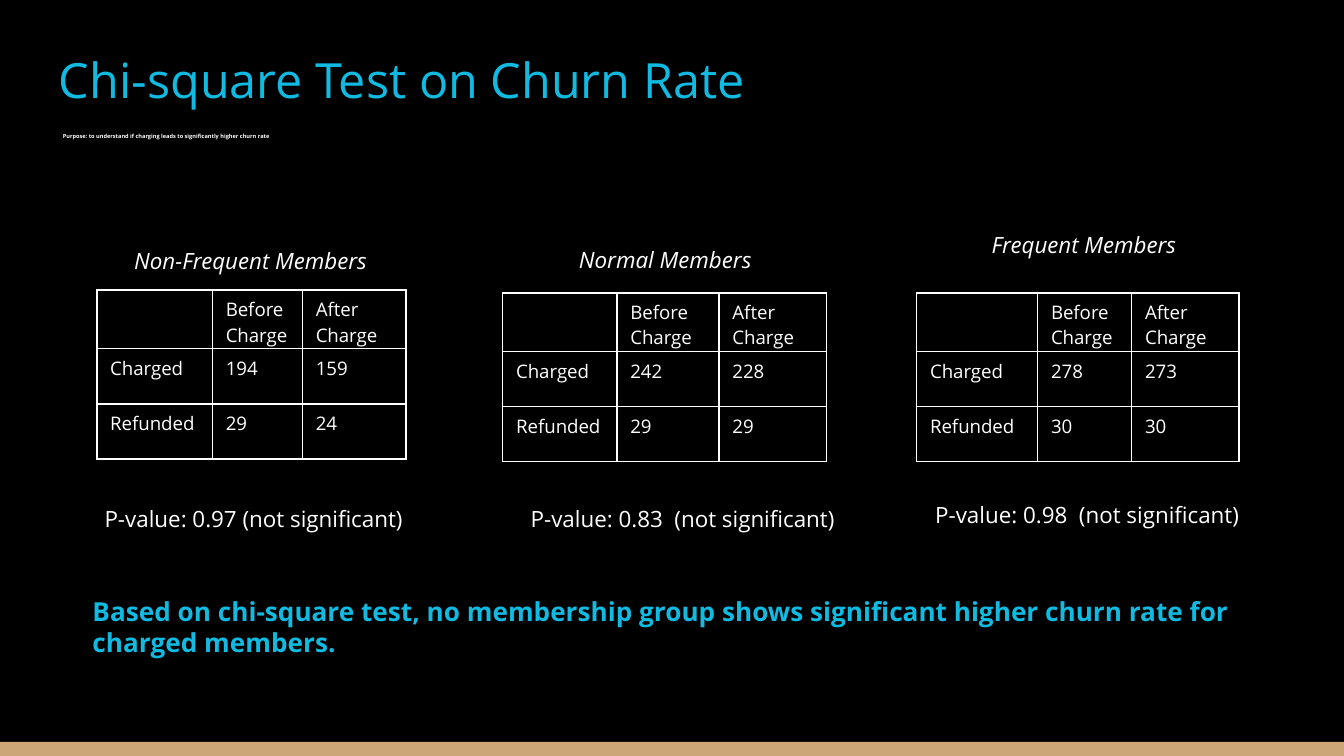
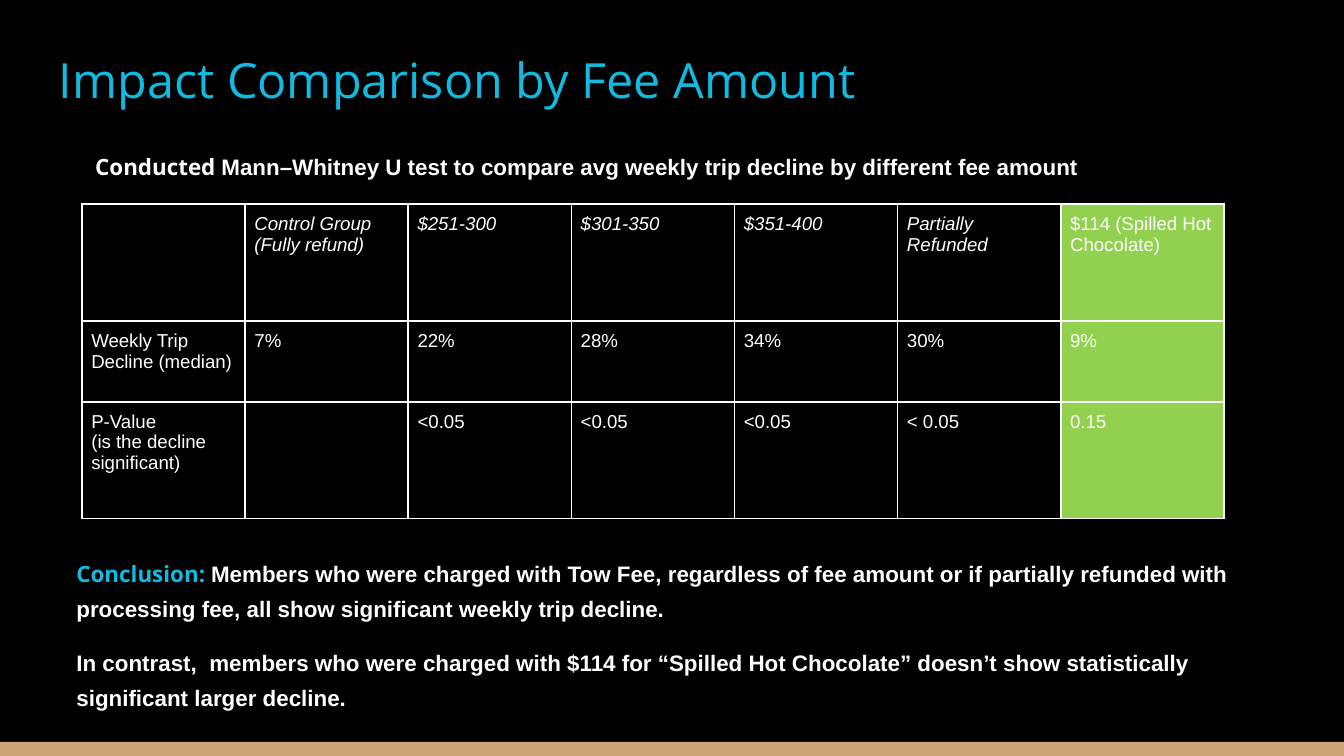
from typing import NamedTuple

from lxml import etree
from pptx import Presentation
from pptx.dml.color import RGBColor
from pptx.enum.shapes import MSO_SHAPE
from pptx.enum.text import MSO_ANCHOR, MSO_AUTO_SIZE
from pptx.oxml.ns import qn
from pptx.util import Inches, Pt

RECTANGLE = MSO_SHAPE.RECTANGLE
TOP = MSO_ANCHOR.TOP
GROW = MSO_AUTO_SIZE.SHAPE_TO_FIT_TEXT

COLUMNS, ROWS = 100, 56.25
CELL = 0.1
COLORS = {
    "background": "000000",
    "text": "FFFFFF",
    "accent": "11BAE0",
    "band": "CCA677",
    "highlight": "92D050",
}
SANS, ARIAL = "Open Sans", "Arial"


class Box(NamedTuple):
    left: float
    top: float
    width: float
    height: float

    def inner(self, left, top, width, height):
        return Box(self.left + left, self.top + top, width, height)

    def lengths(self):
        return [grid(value) for value in self]


PAGE_BOX = Box(0, 0, COLUMNS, ROWS)


def grid(count):
    return Inches(count * CELL)


def color(name):
    return RGBColor.from_string(COLORS[name])


def write(para, text, size=12, font=SANS, ink="text", bold=False, italic=False):
    span = para.add_run()
    span.text = text
    span.font.size = Pt(size)
    span.font.name = font
    span.font.color.rgb = color(ink)
    span.font.bold = bold
    span.font.italic = italic


def add_text(page, box, paragraphs, inset=0.5, spacing=None, gap=0, grow=True, **style):
    shape = page.shapes.add_textbox(*box.lengths())
    frame = shape.text_frame
    frame.word_wrap = True
    frame.vertical_anchor = TOP
    frame.margin_top = frame.margin_bottom = grid(inset)
    if grow:
        frame.auto_size = GROW
    for number, spans in enumerate(paragraphs):
        para = frame.add_paragraph() if number else frame.paragraphs[0]
        if spacing:
            para.line_spacing = spacing
        if number and gap:
            para.space_before = Pt(gap)
        for text, changes in spans:
            write(para, text, **{**style, **changes})


def add_line(page, box, text, **style):
    add_text(page, box, [[(text, {})]], **style)


def add_borders(cell):
    properties = cell._tc.get_or_add_tcPr()
    for position, side in enumerate(("lnL", "lnR", "lnT", "lnB")):
        line = etree.Element(qn("a:" + side), w=str(Pt(1)))
        fill = etree.SubElement(line, qn("a:solidFill"))
        etree.SubElement(fill, qn("a:srgbClr"), val=COLORS["text"])
        properties.insert(position, line)


def add_table(page, box, widths, heights, values, margins, highlighted=None,
              italic_header=False, **style):
    table = page.shapes.add_table(len(heights), len(widths), *box.lengths()).table
    table.first_row = table.horz_banding = False
    for column, width in zip(table.columns, widths):
        column.width = grid(width)
    for row, height in zip(table.rows, heights):
        row.height = grid(height)
    for row_number, row in enumerate(values):
        for column_number, text in enumerate(row):
            cell = table.cell(row_number, column_number)
            marked = column_number == highlighted
            cell.margin_left = cell.margin_right = grid(margins[0])
            cell.margin_top = cell.margin_bottom = grid(margins[1])
            cell.fill.solid()
            cell.fill.fore_color.rgb = color("highlight" if marked else "background")
            add_borders(cell)
            italic = italic_header and row_number == 0 and not marked
            for number, part in enumerate(text.split("\n") if text else []):
                frame = cell.text_frame
                para = frame.add_paragraph() if number else frame.paragraphs[0]
                write(para, part, italic=italic, **style)


def add_page(deck, title, box):
    page = deck.slides.add_slide(deck.slide_layouts[6])
    page.background.fill.solid()
    page.background.fill.fore_color.rgb = color("background")
    band = page.shapes.add_shape(
        RECTANGLE, *box.inner(0, box.height - 1.05, box.width, 1.05).lengths())
    band.shadow.inherit = False
    band.fill.solid()
    band.fill.fore_color.rgb = color("band")
    band.line.fill.background()
    add_line(page, box.inner(3.4, 2.7, 93.2, 9.1), title,
             inset=1, grow=False, size=26, ink="accent")
    return page


def add_member_group(page, box, group):
    add_line(page, box.inner(*group["heading_at"], 23, 3), group["heading"], italic=True)
    values = [
        ["", "Before Charge", "After Charge"],
        ["Charged", *group["charged"]],
        ["Refunded", *group["refunded"]],
    ]
    add_table(page, box, group["widths"], [4.1] * 3, values, (1, 0.5), size=10)
    add_line(page, box.inner(*group["result_at"], 28, 3), group["result"])


MEMBER_GROUPS = [
    {"heading": "Non-Frequent Members", "at": (7.2, 21.6), "widths": (8.6, 6.7, 7.7),
     "heading_at": (1.8, -3.7), "result_at": (-0.4, 15.5),
     "charged": ("194", "159"), "refunded": ("29", "24"),
     "result": "P-value: 0.97 (not significant)"},
    {"heading": "Normal Members", "at": (37.4, 21.8), "widths": (8.5, 7.6, 8),
     "heading_at": (4.7, -4), "result_at": (1.1, 15.3),
     "charged": ("242", "228"), "refunded": ("29", "29"),
     "result": "P-value: 0.83  (not significant)"},
    {"heading": "Frequent Members", "at": (68.2, 21.8), "widths": (9, 7, 8),
     "heading_at": (4.6, -5.1), "result_at": (0.4, 15),
     "charged": ("278", "273"), "refunded": ("30", "30"),
     "result": "P-value: 0.98  (not significant)"},
]

FEE_VALUES = [
    ["", "Control Group (Fully refund)", "$251-300", "$301-350", "$351-400",
     "Partially Refunded", "$114 (Spilled Hot Chocolate)"],
    ["Weekly Trip Decline (median)", "7%", "22%", "28%", "34%", "30%", "9%"],
    ["P-Value\n(is the decline significant)", "", "<0.05", "<0.05", "<0.05",
     "< 0.05", "0.15"],
]


def build_churn_page(deck, box):
    page = add_page(deck, "Chi-square Test on Churn Rate", box)
    add_line(page, box.inner(3.7, 9.6, 88.6, 6.5),
             "Purpose: to understand if charging leads to significantly higher churn rate",
             inset=1, spacing=1.1, grow=False, size=3, bold=True)
    for group in MEMBER_GROUPS:
        add_member_group(page, box.inner(*group["at"], sum(group["widths"]), 12.3), group)
    add_line(page, box.inner(5.9, 43.8, 88.3, 5.7),
             "Based on chi-square test, no membership group shows significant higher "
             "churn rate for charged members.", size=14, ink="accent", bold=True)


def build_fee_page(deck, box):
    page = add_page(deck, "Impact Comparison by Fee Amount", box)
    widths, heights = [12.14] * 7, [8.7, 6, 8.7]
    add_table(page, box.inner(6.1, 15.2, sum(widths), sum(heights)), widths, heights,
              FEE_VALUES, (0.7, 0.7), highlighted=6, italic_header=True,
              size=10, font=ARIAL)
    add_text(page, box.inner(6.1, 10.3, 87.8, 3.4), [[
        ("Conducted ", {"font": SANS}),
        ("Mann–Whitney U test to compare avg weekly trip decline by different "
         "fee amount", {}),
    ]], spacing=1.3, font=ARIAL, bold=True)
    add_text(page, box.inner(4.7, 40.6, 87.8, 12.7), [
        [("Conclusion: ", {"font": SANS, "ink": "accent"}),
         ("Members who were charged with Tow Fee, regardless of fee amount or if "
          "partially refunded with processing fee, all show significant weekly "
          "trip decline.", {})],
        [("In contrast,  members who were charged with $114 for “Spilled Hot "
          "Chocolate” doesn’t show statistically significant larger decline.", {})],
    ], spacing=1.3, gap=10, font=ARIAL, bold=True)


def main():
    deck = Presentation()
    deck.slide_width, deck.slide_height = grid(COLUMNS), grid(ROWS)
    build_churn_page(deck, PAGE_BOX)
    build_fee_page(deck, PAGE_BOX)
    deck.save("out.pptx")


if __name__ == "__main__":
    main()
